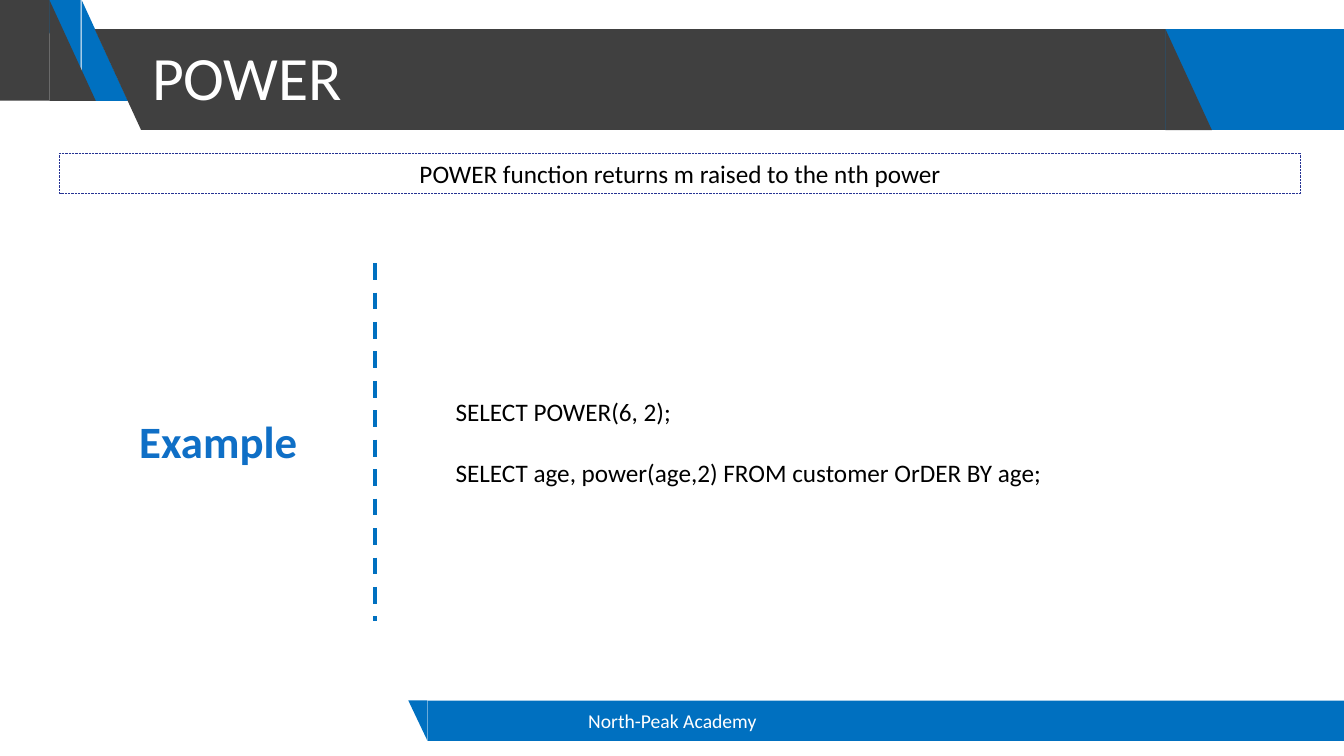
from dataclasses import dataclass

import pptx
import pptx.dml.color
import pptx.enum.dml
import pptx.enum.shapes
import pptx.enum.text
import pptx.oxml
import pptx.oxml.ns
import pptx.shapes.autoshape
import pptx.slide
import pptx.util

PX = 9144  # EMU per px, 100 px to the inch
Kind = pptx.enum.shapes.MSO_SHAPE
Dash = pptx.enum.dml.MSO_LINE
Align = pptx.enum.text.PP_ALIGN
Anchor = pptx.enum.text.MSO_ANCHOR
RGB = pptx.dml.color.RGBColor
Shape = pptx.shapes.autoshape.Shape
Slide = pptx.slide.Slide


@dataclass(frozen=True)
class Theme:
    font: str = "Calibri"
    blue: str = "0070C0"
    dark: str = "404040"
    navy: str = "263393"
    azure: str = "0F6FC6"
    white: str = "FFFFFF"
    black: str = "000000"
    title: int = 44
    label: int = 32
    body: int = 18
    small: int = 14


@dataclass(frozen=True)
class Box:
    left: int
    top: int
    width: int
    height: int

    def emu(self) -> tuple[int, int, int, int]:
        return self.left * PX, self.top * PX, self.width * PX, self.height * PX


@dataclass(frozen=True)
class Part:
    """One piece of a band: a block, or a wedge that slants its end."""
    box: Box
    color: str
    wedge: bool = False
    flip: bool = False


THEME = Theme()
PARTS = [
    Part(Box(1068, 29, 267, 100), THEME.blue),
    Part(Box(81, 0, 46, 100), THEME.blue, wedge=True),
    Part(Box(34, 0, 46, 100), THEME.blue, wedge=True, flip=True),
    Part(Box(0, 0, 49, 100), THEME.dark),
    Part(Box(49, 0, 46, 100), THEME.dark, wedge=True),
    Part(Box(94, 29, 46, 100), THEME.dark, wedge=True, flip=True),
    Part(Box(140, 29, 1016, 100), THEME.dark),
    Part(Box(1156, 29, 46, 100), THEME.dark, wedge=True),
    Part(Box(424, 695, 912, 40), THEME.blue),
    Part(Box(405, 695, 19, 40), THEME.blue, wedge=True, flip=True),
]


def draw_part(slide: Slide, part: Part) -> None:
    kind = Kind.RIGHT_TRIANGLE if part.wedge else Kind.RECTANGLE
    shape = slide.shapes.add_shape(kind, *part.box.emu())
    shape.shadow.inherit = False
    shape.fill.solid()
    shape.fill.fore_color.rgb = RGB.from_string(part.color)
    shape.line.fill.background()
    if part.flip:
        frame = shape.element.spPr.find(pptx.oxml.ns.qn("a:xfrm"))
        frame.set("flipH", "1")
        frame.set("flipV", "1")


def write(shape: Shape, *lines: str, size: int, color: str = THEME.black,
          bold: bool = False, align: Align = Align.LEFT,
          anchor: Anchor = Anchor.TOP, gap: int = 0,
          pitch: float = 1.0) -> None:
    """Fill a shape with paragraphs, parted by gap points."""
    frame = shape.text_frame
    frame.word_wrap = True
    frame.vertical_anchor = anchor
    for i, line in enumerate(lines):
        para = frame.add_paragraph() if i else frame.paragraphs[0]
        para.alignment = align
        para.line_spacing = pitch
        if i:
            para.space_before = pptx.util.Pt(gap)
        run = para.add_run()
        run.text = line
        run.font.name = THEME.font
        run.font.size = pptx.util.Pt(size)
        run.font.bold = bold
        run.font.color.rgb = RGB.from_string(color)


def add_box(slide: Slide, box: Box) -> Shape:
    return slide.shapes.add_textbox(*box.emu())


def add_frame(slide: Slide, box: Box) -> Shape:
    shape = slide.shapes.add_shape(Kind.RECTANGLE, *box.emu())
    shape.shadow.inherit = False
    shape.fill.background()
    shape.line.color.rgb = RGB.from_string(THEME.navy)
    shape.line.width = pptx.util.Pt(0.5)
    shape.line.dash_style = Dash.ROUND_DOT
    return shape


def add_rule(slide: Slide, x: int, top: int, end: int) -> None:
    rule = slide.shapes.add_connector(
        pptx.enum.shapes.MSO_CONNECTOR.STRAIGHT,
        x * PX, top * PX, x * PX, end * PX)
    rule.line.color.rgb = RGB.from_string(THEME.blue)
    rule.line.width = pptx.util.Pt(3)
    rule.line.dash_style = Dash.DASH
    rule.element.spPr.append(pptx.oxml.parse_xml(
        f"<a:effectLst {pptx.oxml.ns.nsdecls('a')}/>"))


def main() -> None:
    deck = pptx.Presentation()
    deck.slide_width, deck.slide_height = 1333 * PX, 750 * PX
    slide = deck.slides.add_slide(deck.slide_layouts[6])

    for part in PARTS:
        draw_part(slide, part)

    write(add_box(slide, Box(141, 7, 1014, 145)), "POWER",
          size=THEME.title, color=THEME.white, anchor=Anchor.MIDDLE, pitch=0.9)
    write(add_box(slide, Box(442, 695, 450, 40)), "North-Peak Academy",
          size=THEME.small, color=THEME.white, align=Align.CENTER,
          anchor=Anchor.MIDDLE)
    write(add_frame(slide, Box(59, 152, 1231, 40)),
          "POWER function returns m raised to the nth power",
          size=THEME.body, align=Align.CENTER)
    add_rule(slide, 372, 261, 616)
    write(add_box(slide, Box(442, 388, 826, 101)),
          "SELECT POWER(6, 2);",
          "SELECT age, power(age,2) FROM customer OrDER BY age;",
          size=THEME.body, gap=22)
    write(add_box(slide, Box(46, 406, 341, 64)), "Example",
          size=THEME.label, color=THEME.azure, bold=True, align=Align.CENTER)

    deck.save("out.pptx")


if __name__ == "__main__":
    main()
